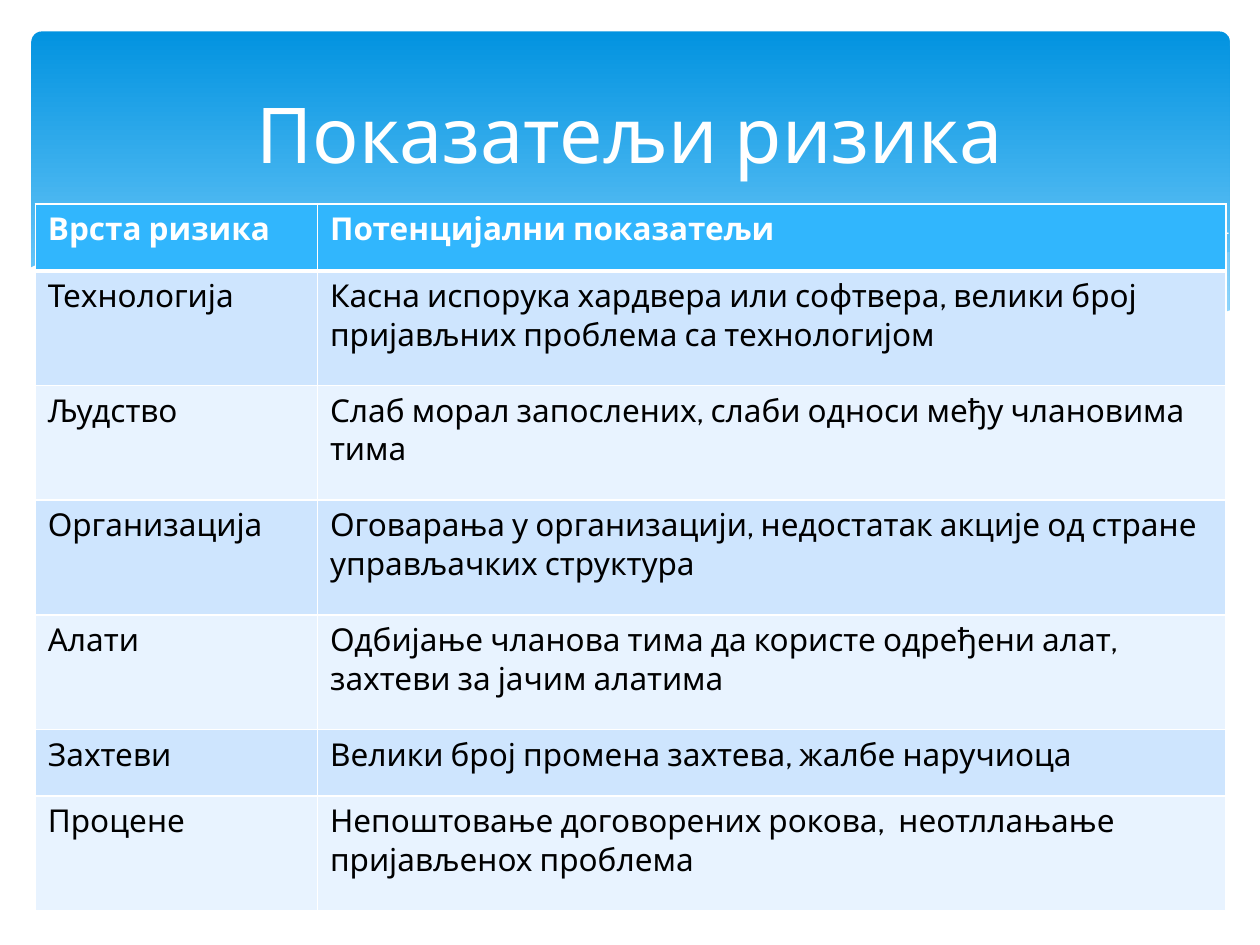
from lxml import etree
from pptx import Presentation
from pptx.dml.color import RGBColor as RGB
from pptx.enum.shapes import MSO_SHAPE as Shape
from pptx.enum.text import MSO_ANCHOR as Anchor, PP_ALIGN as Align
from pptx.oxml.ns import qn
from pptx.util import Inches, Pt

FONT = "Cabin"
COLORS = {
    "white": "FFFFFF",
    "black": "000000",
    "deep": "0293E0",
    "sky": "83D3FE",
    "wave": "C6E7FC",
    "head": "31B6FD",
    "odd": "CEE5FE",
    "even": "E8F3FF",
}
BACK = [(9.76, 2), (9.48, 2.04), (9.06, 2.13), (8.61, 2.23), (7.79, 2.42),
        (7.06, 2.57), (6.61, 2.65), (7.05, 2.71), (7.57, 2.76), (8.14, 2.78),
        (8.63, 2.75), (9.05, 2.69), (9.42, 2.59), (9.76, 2.47)]
MID = [(8.93, 2.73), (8.37, 2.65), (7.75, 2.54), (7.06, 2.4), (6.29, 2.22),
       (5.69, 2.08), (5.14, 1.98), (4.65, 1.91), (4.2, 1.87), (3.7, 1.85),
       (3.28, 1.87), (2.86, 1.91), (3.42, 1.99), (4.04, 2.11), (4.49, 2.22),
       (5.3, 2.4), (6.01, 2.55), (6.65, 2.66), (7.22, 2.74), (7.73, 2.77),
       (8.18, 2.78), (8.57, 2.77)]
FALL = [(3.09, 1.95), (3.44, 1.9), (4.01, 1.87), (4.5, 1.88), (5.1, 1.92),
        (5.82, 2), (6.65, 2.13), (7.27, 2.26), (7.95, 2.41), (8.69, 2.61),
        (9.07, 2.72)]
RISE = [(6.13, 2.57), (6.72, 2.41), (7.48, 2.23), (8.06, 2.1), (8.66, 1.99),
        (9.1, 1.92), (9.51, 1.87), (9.75, 1.85)]
FRONT = [(9.77, 2.46), (9.5, 2.56), (9.1, 2.67), (8.63, 2.74), (8.09, 2.77),
         (7.44, 2.74), (6.68, 2.65), (5.79, 2.5), (5.03, 2.33), (4.47, 2.2),
         (3.91, 2.07), (3.4, 1.97), (2.92, 1.9), (2.5, 1.86), (2.11, 1.84),
         (1.61, 1.84), (1.19, 1.87), (0.85, 1.93), (0.59, 1.99), (0.4, 2.05),
         (0.23, 2.13), (0.23, 3.29), (9.77, 3.29)]
ROWS = [
    ("Врста ризика", "Потенцијални показатељи"),
    ("Технологија", "Касна испорука хардвера или софтвера, велики број пријављних проблема са технологијом"),
    ("Људство", "Слаб морал запослених, слаби односи међу члановима тима"),
    ("Организација", "Оговарања у организацији, недостатак акције од стране управљачких структура"),
    ("Алати", "Одбијање чланова тима да користе одређени алат, захтеви за јачим алатима"),
    ("Захтеви", "Велики број промена захтева, жалбе наручиоца"),
    ("Процене", "Непоштовање договорених рокова,  неотллањање пријављенох проблема"),
]
WIDTHS = [2.24, 7.21]
HEIGHTS = [0.53, 0.91, 0.91, 0.91, 0.91, 0.53, 0.91]


def rgb(name):
    return RGB.from_string(COLORS[name])


def style(para, size, color, bold=False):
    for run in para.runs:
        font = run.font
        font.name, font.size, font.bold = FONT, Pt(size), bold
        font.color.rgb = rgb(color)


def add_panel(slide):
    panel = slide.shapes.add_shape(Shape.ROUNDED_RECTANGLE, Inches(0.25),
                                   Inches(0.25), Inches(9.51), Inches(2.7))
    panel.adjustments[0] = 0.03
    panel.shadow.inherit = False
    panel.line.fill.background()
    panel.fill.gradient()
    panel.fill.gradient_angle = 270
    stops = panel.fill.gradient_stops
    for stop, color, place in zip(stops, ("deep", "sky"), (0, 0.9)):
        stop.color.rgb = rgb(color)
        stop.position = place


def add_free(slide, points, close):
    spots = [(Inches(x), Inches(y)) for x, y in points]
    pen = slide.shapes.build_freeform(*spots[0])
    pen.add_line_segments(spots[1:], close=close)
    shape = pen.convert_to_shape()
    shape.shadow.inherit = False
    return shape


def add_wave(slide, points, color, alpha=100):
    wave = add_free(slide, points, True)
    wave.line.fill.background()
    wave.fill.solid()
    wave.fill.fore_color.rgb = rgb(color)
    if alpha < 100:
        tone = wave.fill._xPr.find(".//" + qn("a:srgbClr"))
        etree.SubElement(tone, qn("a:alpha")).set("val", str(alpha * 1000))


def add_curve(slide, points):
    curve = add_free(slide, points, False)
    curve.fill.background()
    curve.line.color.rgb = rgb("white")
    curve.line.width = Pt(0)


def set_edges(cell, base):
    props = cell._tc.get_or_add_tcPr()
    for i, side in enumerate("LRTB"):
        edge = etree.Element(qn("a:ln" + side))
        edge.set("w", str(Pt(base if side == "B" else 1)))
        fill = etree.SubElement(edge, qn("a:solidFill"))
        etree.SubElement(fill, qn("a:srgbClr")).set("val", COLORS["white"])
        props.insert(i, edge)


def add_grid(slide):
    frame = slide.shapes.add_table(len(ROWS), len(WIDTHS), Inches(0.28), Inches(1.62),
                                   Inches(sum(WIDTHS)), Inches(sum(HEIGHTS)))
    table = frame.table
    for col, width in zip(table.columns, WIDTHS):
        col.width = Inches(width)
    for r, texts in enumerate(ROWS):
        table.rows[r].height = Inches(HEIGHTS[r])
        head = r == 0
        tint = "head" if head else "odd" if r % 2 else "even"
        for c, text in enumerate(texts):
            cell = table.cell(r, c)
            cell.fill.solid()
            cell.fill.fore_color.rgb = rgb(tint)
            set_edges(cell, 3 if head else 1)
            cell.text_frame.text = text
            style(cell.text_frame.paragraphs[0], 18, "white" if head else "black", head)


def add_title(slide, text):
    box = slide.shapes.add_textbox(Inches(0.5), Inches(0.37), Inches(9), Inches(1.37))
    frame = box.text_frame
    frame.word_wrap = True
    frame.vertical_anchor = Anchor.MIDDLE
    frame.text = text
    para = frame.paragraphs[0]
    para.alignment = Align.CENTER
    style(para, 44, "white")


def main():
    deck = Presentation()
    deck.slide_width, deck.slide_height = Inches(10), Inches(7.5)
    slide = deck.slides.add_slide(deck.slide_layouts[6])
    add_panel(slide)
    add_wave(slide, BACK, "wave", 29)
    add_wave(slide, MID, "wave", 40)
    add_curve(slide, FALL)
    add_curve(slide, RISE)
    add_wave(slide, FRONT, "white")
    add_grid(slide)
    add_title(slide, "Показатељи ризика")
    deck.save("out.pptx")


if __name__ == "__main__":
    main()
